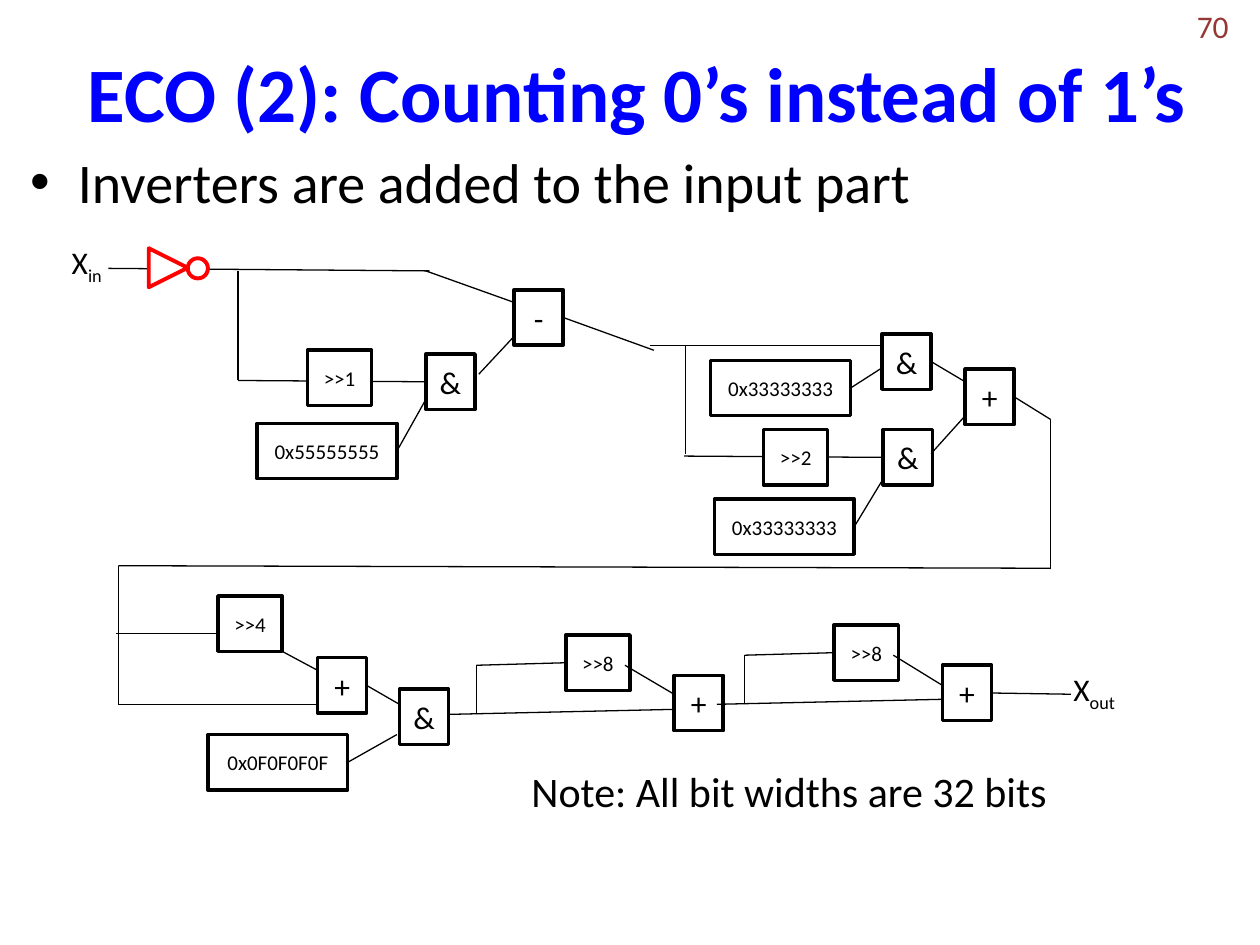
"""Build the slide with the bit counting circuit and its input inverter."""
from dataclasses import dataclass
from typing import Any

import lxml.etree
import pptx
import pptx.dml.color
import pptx.enum.shapes
import pptx.enum.text
import pptx.oxml.ns
import pptx.util

SCALE = 9144
FONT = "Calibri"
HUES = {"ink": "000000", "title": "0000FF", "paper": "FFFFFF", "new": "FF0000", "page": "953735"}
ALIGN = pptx.enum.text.PP_ALIGN
MIDDLE = pptx.enum.text.MSO_ANCHOR.MIDDLE
TOP = pptx.enum.text.MSO_ANCHOR.TOP
KIND = pptx.enum.shapes.MSO_SHAPE
HIGH = 44


@dataclass(frozen=True)
class Block:
    text: str
    left: int
    top: int
    wide: int
    size: int


@dataclass(frozen=True)
class Wire:
    x1: int
    y1: int
    x2: int
    y2: int


@dataclass(frozen=True)
class Label:
    text: str
    left: int
    top: int
    wide: int
    high: int
    size: int
    sub: str = ""
    hue: str = "ink"
    align: Any = ALIGN.LEFT
    wrap: bool = False
    anchor: Any = TOP


def gate(text: str, left: int, top: int) -> Block:
    return Block(text, left, top, 39, 18)


def shift(text: str, left: int, top: int) -> Block:
    return Block(text, left, top, 51, 12)


def mask(text: str, left: int, top: int) -> Block:
    return Block(text, left, top, 111, 12)


BLOCKS = [
    mask("0x55555555", 204, 336), gate("-", 408, 230), shift(">>1", 244, 278), gate("&", 338, 281),
    mask("0x33333333", 564, 286), gate("&", 700, 265), gate("+", 766, 293),
    shift(">>2", 606, 341), gate("&", 701, 341), mask("0x33333333", 567, 396),
    shift(">>4", 173, 473), gate("+", 252, 522), gate("&", 317, 547), mask("0x0F0F0F0F", 165, 583),
    shift(">>8", 449, 504), gate("+", 535, 536), shift(">>8", 662, 496), gate("+", 748, 528),
]
BACK = [Wire(86, 213, 341, 215), Wire(338, 303, 189, 302), Wire(701, 363, 543, 362)]
FRONT = [
    Wire(189, 302, 189, 215), Wire(316, 358, 338, 317), Wire(380, 297, 408, 267),
    Wire(338, 215, 408, 240), Wire(446, 253, 519, 278), Wire(516, 274, 700, 274),
    Wire(544, 360, 544, 274), Wire(675, 308, 700, 292), Wire(739, 360, 766, 330),
    Wire(739, 287, 766, 303), Wire(805, 315, 834, 333), Wire(678, 418, 701, 380),
    Wire(834, 452, 834, 333), Wire(94, 449, 834, 451), Wire(94, 449, 94, 504),
    Wire(94, 559, 94, 504), Wire(92, 503, 173, 503), Wire(252, 559, 94, 559),
    Wire(224, 517, 252, 532), Wire(291, 545, 317, 559), Wire(276, 605, 315, 583),
    Wire(356, 567, 535, 563), Wire(449, 526, 378, 528), Wire(378, 567, 378, 528),
    Wire(496, 528, 535, 551), Wire(569, 559, 748, 555), Wire(662, 519, 591, 520),
    Wire(591, 559, 591, 520), Wire(709, 520, 748, 544), Wire(850, 551, 787, 550),
]
LABELS = [
    Label("Note: All bit widths are 32 bits", 412, 603, 433, 50, 24),
    Label("X", 47, 188, 52, 40, 18, "in"),
    Label("X", 842, 527, 62, 40, 18, "out"),
    Label("70", 752, 1, 233, 40, 18, hue="page", align=ALIGN.RIGHT, wrap=True, anchor=MIDDLE),
]


def px(*nums: int) -> list[pptx.util.Emu]:
    return [pptx.util.Emu(num * SCALE) for num in nums]


def tint(name: str) -> pptx.dml.color.RGBColor:
    return pptx.dml.color.RGBColor.from_string(HUES[name])


def apply(item: Any, form: dict[str, Any]) -> None:
    for name, value in form.items():
        setattr(item, name, value)


def write(frame: Any, text: str, size: int, hue: str = "ink", align: Any = ALIGN.LEFT,
          bold: bool = False) -> Any:
    line = frame.paragraphs[0]
    line.alignment = align
    add_run(line, text, size, hue, bold)
    return line


def add_run(line: Any, text: str, size: int, hue: str = "ink", bold: bool = False) -> Any:
    run = line.add_run()
    run.text = text
    apply(run.font, {"name": FONT, "size": pptx.util.Pt(size), "bold": bold})
    run.font.color.rgb = tint(hue)
    return run


def add_label(shapes: Any, label: Label) -> None:
    frame = shapes.add_textbox(*px(label.left, label.top, label.wide, label.high)).text_frame
    apply(frame, {"word_wrap": label.wrap, "vertical_anchor": label.anchor})
    line = write(frame, label.text, label.size, label.hue, label.align)
    if label.sub:
        run = add_run(line, label.sub, label.size, label.hue)
        run.font._element.set("baseline", "-25000")


def add_shape(shapes: Any, kind: Any, area: list[int], hue: str, width: float) -> Any:
    shape = shapes.add_shape(kind, *px(*area))
    shape.shadow.inherit = False
    shape.fill.solid()
    shape.fill.fore_color.rgb = tint("paper")
    shape.line.color.rgb = tint(hue)
    shape.line.width = pptx.util.Pt(width)
    return shape


def add_block(shapes: Any, block: Block) -> Any:
    shape = add_shape(shapes, KIND.RECTANGLE, [block.left, block.top, block.wide, HIGH], "ink", 2)
    apply(shape.text_frame, {"vertical_anchor": MIDDLE, "margin_left": 0, "margin_right": 0})
    write(shape.text_frame, block.text, block.size, align=ALIGN.CENTER)
    return shape


def add_wire(shapes: Any, wire: Wire) -> Any:
    kind = pptx.enum.shapes.MSO_CONNECTOR.STRAIGHT
    link = shapes.add_connector(kind, *px(wire.x1, wire.y1, wire.x2, wire.y2))
    link.line.color.rgb = tint("ink")
    link.line.width = pptx.util.Pt(0.75)
    lxml.etree.SubElement(link._element.spPr, pptx.oxml.ns.qn("a:effectLst"))
    return link


def join(link: Any, wire: Wire, block: Block, shape: Any) -> None:
    mid = block.top + HIGH // 2
    for site, side in ((1, block.left), (3, block.left + block.wide)):
        if max(abs(wire.x1 - side), abs(wire.y1 - mid)) <= 1:
            link.begin_connect(shape, site)
        if max(abs(wire.x2 - side), abs(wire.y2 - mid)) <= 1:
            link.end_connect(shape, site)


def add_point(shapes: Any) -> None:
    frame = shapes.add_textbox(*px(14, 112, 900, 495)).text_frame
    frame.word_wrap = True
    props = frame.paragraphs[0]._p.get_or_add_pPr()
    apply_xml = {"marL": str(38 * SCALE), "indent": str(-38 * SCALE)}
    props.attrib.update(apply_xml)
    qn = pptx.oxml.ns.qn
    lxml.etree.SubElement(props, qn("a:buFont"), typeface="Arial")
    lxml.etree.SubElement(props, qn("a:buChar"), char="•")
    write(frame, "Inverters are added to the input part", 32)


def main() -> None:
    deck = pptx.Presentation()
    deck.slide_width, deck.slide_height = px(1000, 750)
    slide = deck.slides.add_slide(deck.slide_layouts[5])
    shapes = slide.shapes
    title = shapes.title
    apply(title, dict(zip(("left", "top", "width", "height"), px(12, 2, 988, 141))))
    title.text_frame.vertical_anchor = MIDDLE
    write(title.text_frame, "ECO (2): Counting 0’s instead of 1’s", 44, "title", ALIGN.CENTER, True)
    add_point(shapes)
    links = [(add_wire(shapes, wire), wire) for wire in BACK]
    parts = [(block, add_block(shapes, block)) for block in BLOCKS]
    links += [(add_wire(shapes, wire), wire) for wire in FRONT]
    for link, wire in links:
        for block, shape in parts:
            join(link, wire, block, shape)
    invert = shapes.add_group_shape().shapes
    for kind, area in ((KIND.ISOSCELES_TRIANGLE, [118, 197, 31, 31]), (KIND.OVAL, [149, 205, 16, 16])):
        add_shape(invert, kind, area, "new", 2.25).rotation = 90
    for label in LABELS:
        add_label(shapes, label)
    deck.save("out.pptx")


if __name__ == "__main__":
    main()
